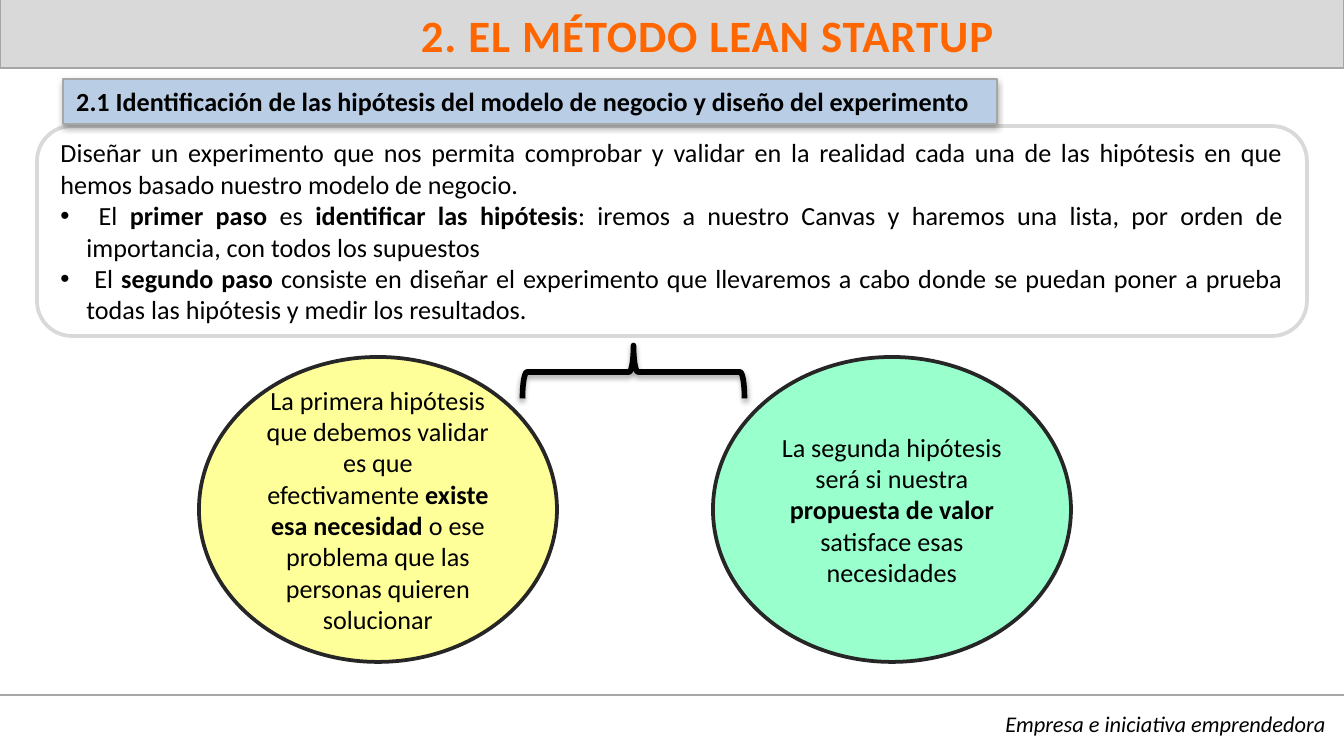
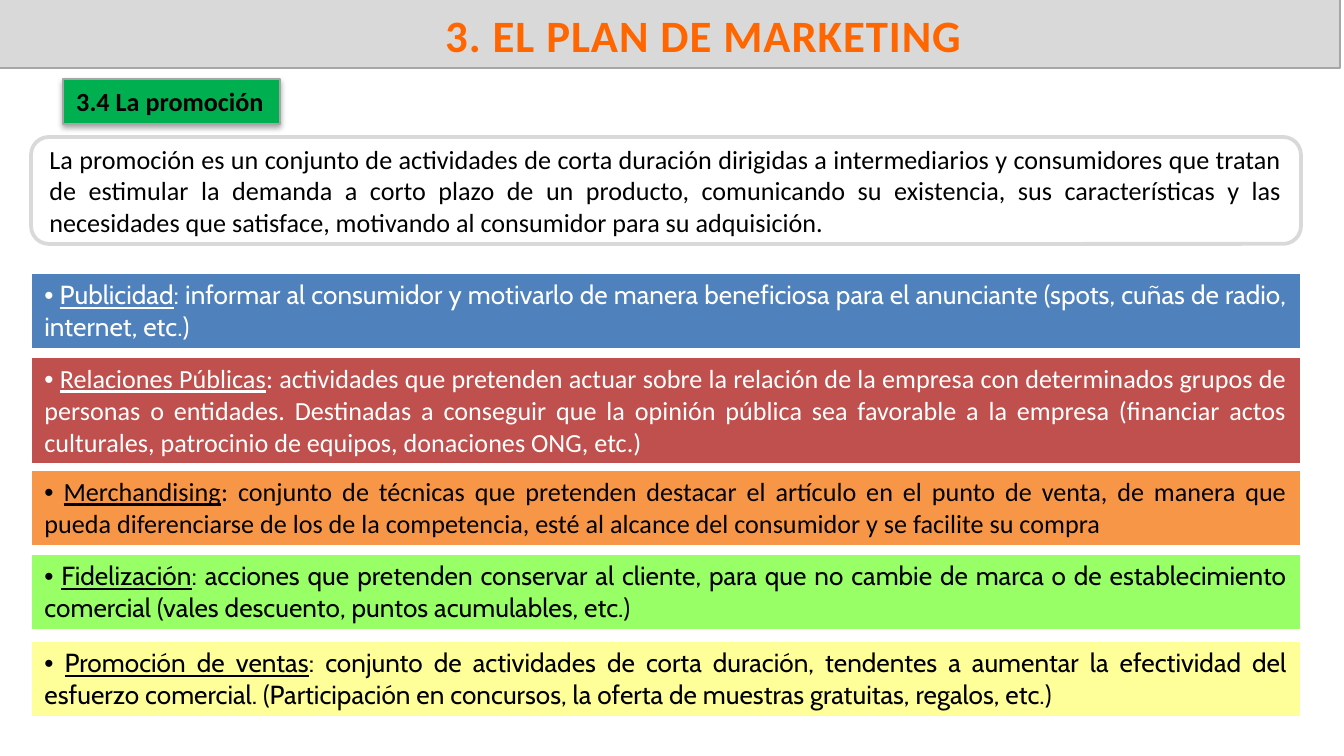
from lxml.etree import SubElement
from pptx import Presentation
from pptx.dml.color import RGBColor
from pptx.enum.shapes import MSO_CONNECTOR, MSO_SHAPE
from pptx.enum.text import MSO_ANCHOR, PP_ALIGN
from pptx.oxml import parse_xml
from pptx.oxml.ns import nsdecls, qn
from pptx.util import Pt

EMU_PER_PX = 914400 / 134.4
SLIDE_W, SLIDE_H = 1344, 756
FONT = "Calibri"
HANGING = 26

COLORS = {
    "black": "000000", "white": "FFFFFF", "title": "FF6600", "title_edge": "101A26",
    "band": "D9D9D9", "rule": "A6A6A6", "ring": "262626",
    "tag_blue": "B9CDE5", "tag_green": "00B050",
    "yellow": "FFFF99", "mint": "99FFCC", "blue": "4F81BD",
    "red": "C0504D", "orange": "F79646", "lime": "99FF66",
}


def px(length):
    return round(length * EMU_PER_PX)


def rgb(name):
    return RGBColor.from_string(COLORS[name])


def line_xml(tag, color, width, alpha=100):
    return parse_xml(
        f'<a:{tag} {nsdecls("a")} w="{Pt(width)}"><a:solidFill><a:srgbClr val="{COLORS[color]}">'
        f'<a:alpha val="{alpha * 1000}"/></a:srgbClr></a:solidFill>'
        f'<a:prstDash val="solid"/></a:{tag}>')


def add_bullet(paragraph, hanging):
    props = paragraph._p.get_or_add_pPr()
    props.set("marL", str(px(hanging)))
    props.set("indent", str(-px(hanging)))
    SubElement(props, qn("a:buFont")).set("typeface", "Arial")
    SubElement(props, qn("a:buChar")).set("char", "•")


def put_text(frame, paragraphs, size=14, font=FONT, color="black", bold=False, italic=False,
             align=PP_ALIGN.LEFT, anchor=MSO_ANCHOR.TOP, emphasis="bold",
             bullets_from=None, hanging=HANGING):
    """Fill a text frame; words between asterisks get the emphasis."""
    frame.word_wrap = True
    frame.vertical_anchor = anchor
    for index, text in enumerate(paragraphs):
        paragraph = frame.paragraphs[0] if index == 0 else frame.add_paragraph()
        paragraph.alignment = align
        if bullets_from is not None and index >= bullets_from:
            add_bullet(paragraph, hanging)
        for part, words in enumerate(text.split("*")):
            run = paragraph.add_run()
            run.text = words
            run.font.size, run.font.name = Pt(size), font
            run.font.bold, run.font.italic = bold, italic
            run.font.color.rgb = rgb(color)
            if part % 2:
                setattr(run.font, emphasis, True)


def add_box(slide, kind, box, fill=None, line="rule", width=0.75, shadow=False):
    shape = slide.shapes.add_shape(kind, *map(px, box))
    shape.shadow.inherit = False
    if fill:
        shape.fill.solid()
        shape.fill.fore_color.rgb = rgb(fill)
    else:
        shape.fill.background()
    shape.line.color.rgb = rgb(line)
    shape.line.width = Pt(width)
    if shadow:
        effects = shape._element.spPr.find(qn("a:effectLst"))
        effects.append(parse_xml(
            f'<a:outerShdw {nsdecls("a")} blurRad="{Pt(3.1)}" dist="{Pt(1.8)}" dir="5400000" '
            f'rotWithShape="0"><a:srgbClr val="{COLORS["black"]}"><a:alpha val="35000"/>'
            '</a:srgbClr></a:outerShdw>'))
    return shape


# Parts the slides share

def add_title_band(slide, box, title):
    band = add_box(slide, MSO_SHAPE.RECTANGLE, box, fill="band")
    put_text(band.text_frame, [title], size=24, color="title", bold=True,
             align=PP_ALIGN.CENTER, anchor=MSO_ANCHOR.BOTTOM)
    paragraph = band.text_frame.paragraphs[0]
    paragraph._p.get_or_add_pPr().set("marL", str(px(71)))
    letters = paragraph.runs[0]._r.get_or_add_rPr()
    letters.set("spc", "50")
    letters.insert(0, line_xml("ln", "title_edge", 1.06, alpha=6))


def add_section_tag(slide, box, heading, fill):
    tag = add_box(slide, MSO_SHAPE.RECTANGLE, box, fill=fill, shadow=True)
    put_text(tag.text_frame, [heading], bold=True)


def add_explanation(slide, box, paragraphs):
    panel = add_box(slide, MSO_SHAPE.ROUNDED_RECTANGLE, box, line="band", width=2)
    put_text(panel.text_frame, paragraphs, align=PP_ALIGN.JUSTIFY,
             anchor=MSO_ANCHOR.MIDDLE, bullets_from=1)


def add_footer(slide, box, course):
    left, top, width, height = box
    rule = slide.shapes.add_connector(
        MSO_CONNECTOR.STRAIGHT, px(left), px(top), px(left + width), px(top))
    rule.line.color.rgb = rgb("rule")
    rule.line.width = Pt(0.75)
    SubElement(rule._element.spPr, qn("a:effectLst"))
    label = slide.shapes.add_textbox(px(left + 121), px(top + 9), px(width - 126), px(height))
    put_text(label.text_frame, [course], size=12, italic=True, align=PP_ALIGN.RIGHT)


# Slide 1: two hypotheses joined by a brace

def add_hypotheses(slide, box, hypotheses):
    left, top, width, height = box
    diameter = 358
    step = width - diameter
    for index, (text, fill) in enumerate(hypotheses):
        oval = add_box(slide, MSO_SHAPE.OVAL, (left + index * step, top, diameter, height),
                       fill=fill, line="ring", width=2)
        put_text(oval.text_frame, [text], align=PP_ALIGN.CENTER, anchor=MSO_ANCHOR.MIDDLE)
    brace = add_box(slide, MSO_SHAPE.LEFT_BRACE, (left + width // 2 - 28, top - 96, 53, 222),
                    line="black", width=3, shadow=True)
    brace.rotation = 90


def build_lean_startup(slide):
    add_explanation(slide, (37, 126, 1270, 210), [
        "Diseñar un experimento que nos permita comprobar y validar en la realidad cada una "
        "de las hipótesis en que hemos basado nuestro modelo de negocio.",
        " El *primer paso *es *identificar las hipótesis*: iremos a nuestro Canvas y haremos "
        "una lista, por orden de importancia, con todos los supuestos",
        " El *segundo paso* consiste en diseñar el experimento que llevaremos a cabo donde se "
        "puedan poner a prueba todas las hipótesis y medir los resultados.",
    ])
    add_title_band(slide, (0, -1, SLIDE_W, 69), "2. EL MÉTODO LEAN STARTUP")
    add_footer(slide, (0, 695, SLIDE_W, 40), "Empresa e iniciativa emprendedora")
    add_section_tag(slide, (63, 79, 934, 45),
                    "2.1 Identificación de las hipótesis del modelo de negocio y diseño "
                    "del experimento", "tag_blue")
    add_hypotheses(slide, (199, 357, 872, 305), [
        ("La primera hipótesis que debemos validar es que efectivamente *existe esa "
         "necesidad* o ese problema que las personas quieren solucionar", "yellow"),
        ("La segunda hipótesis será si nuestra *propuesta de valor* satisface esas "
         "necesidades", "mint"),
    ])


# Slide 2: one single-cell table for each promotion tool

def add_promotion_tool(slide, box, text, fill, color, font):
    table = slide.shapes.add_table(1, 1, *map(px, box)).table
    table.first_row = table.horz_banding = False
    cell = table.cell(0, 0)
    cell.fill.solid()
    cell.fill.fore_color.rgb = rgb(fill)
    put_text(cell.text_frame, [text], font=font, color=color, align=PP_ALIGN.JUSTIFY,
             emphasis="underline", bullets_from=0, hanging=0)
    for index, (side, width) in enumerate((("lnL", 1), ("lnR", 1), ("lnT", 1), ("lnB", 3))):
        cell._tc.get_or_add_tcPr().insert(index, line_xml(side, "white", width))


def add_promotion_tools(slide, box, tools):
    left, top, width, height = box
    for offset, lines, fill, color, font, text in tools:
        row = height + (lines - 2) * 31
        add_promotion_tool(slide, (left, top + offset, width, row), text, fill, color, font)


def build_promotion(slide):
    add_title_band(slide, (-4, -1, SLIDE_W, 69), "3. EL PLAN DE MARKETING")
    add_section_tag(slide, (63, 79, 217, 45), "3.4 La promoción", "tag_green")
    # offset from the first tool, text lines, fill, text colour, font, text
    add_promotion_tools(slide, (31, 273, 1270, 76), [
        (0, 2, "blue", "white", "Cabin",
         " *Publicidad*: informar al consumidor y motivarlo de manera beneficiosa para el "
         "anunciante (spots, cuñas de radio, internet, etc.)"),
        (84, 3, "red", "white", FONT,
         " *Relaciones Públicas*: actividades que pretenden actuar sobre la relación de la "
         "empresa con determinados grupos de personas o entidades. Destinadas a conseguir que "
         "la opinión pública sea favorable a la empresa (financiar actos culturales, "
         "patrocinio de equipos, donaciones ONG, etc.)"),
        (197, 2, "orange", "black", FONT,
         " *Merchandising*: conjunto de técnicas que pretenden destacar el artículo en el "
         "punto de venta, de manera que pueda diferenciarse de los de la competencia, esté al "
         "alcance del consumidor y se facilite su compra"),
        (281, 2, "lime", "black", "Cabin",
         " *Fidelización*: acciones que pretenden conservar al cliente, para que no cambie de "
         "marca o de establecimiento comercial (vales descuento, puntos acumulables, etc.)"),
        (368, 2, "yellow", "black", "Cabin",
         " *Promoción de ventas*: conjunto de actividades de corta duración, tendentes a "
         "aumentar la efectividad del esfuerzo comercial. (Participación en concursos, la "
         "oferta de muestras gratuitas, regalos, etc.)"),
    ])
    add_explanation(slide, (31, 137, 1270, 107), [
        "La promoción es un conjunto de actividades de corta duración dirigidas a "
        "intermediarios y consumidores que tratan de estimular la demanda a corto plazo de un "
        "producto, comunicando su existencia, sus características y las necesidades que "
        "satisface, motivando al consumidor para su adquisición.",
    ])


def main():
    deck = Presentation()
    deck.slide_width, deck.slide_height = px(SLIDE_W), px(SLIDE_H)
    for build in (build_lean_startup, build_promotion):
        build(deck.slides.add_slide(deck.slide_layouts[6]))
    deck.save("out.pptx")


if __name__ == "__main__":
    main()
